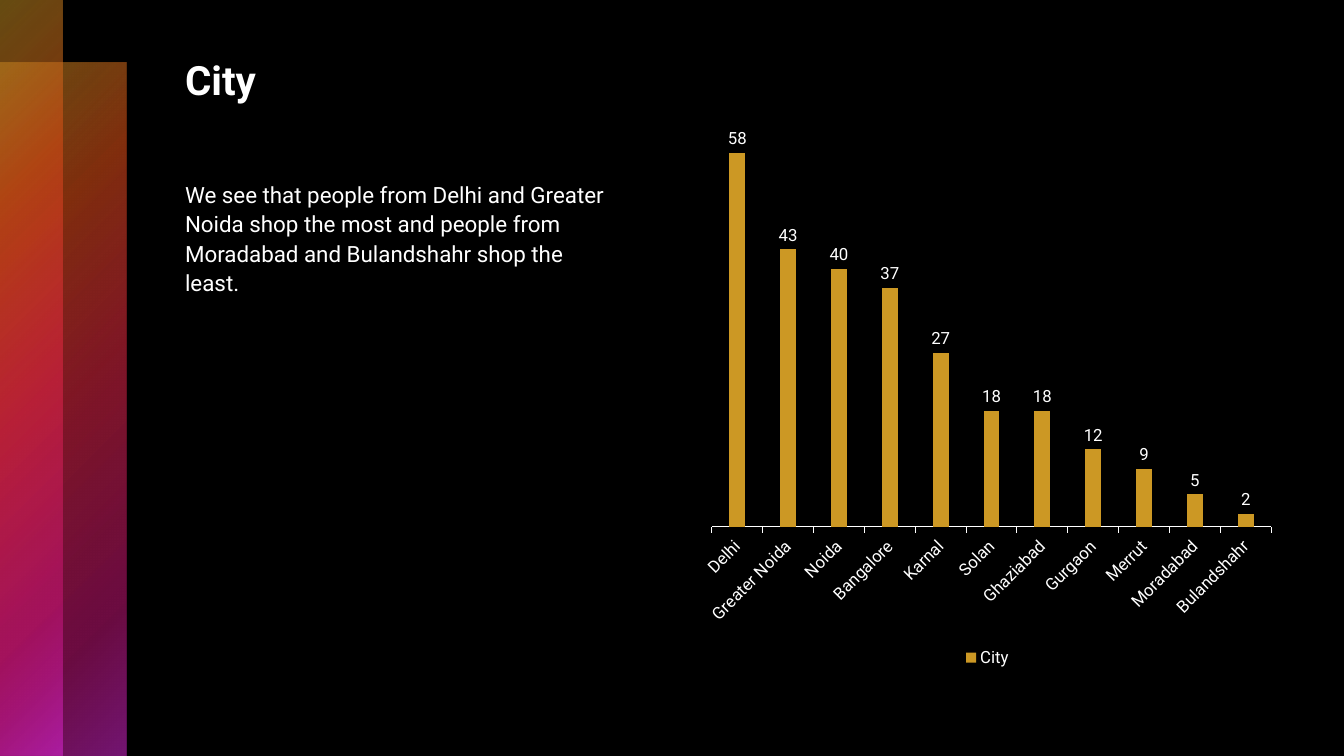
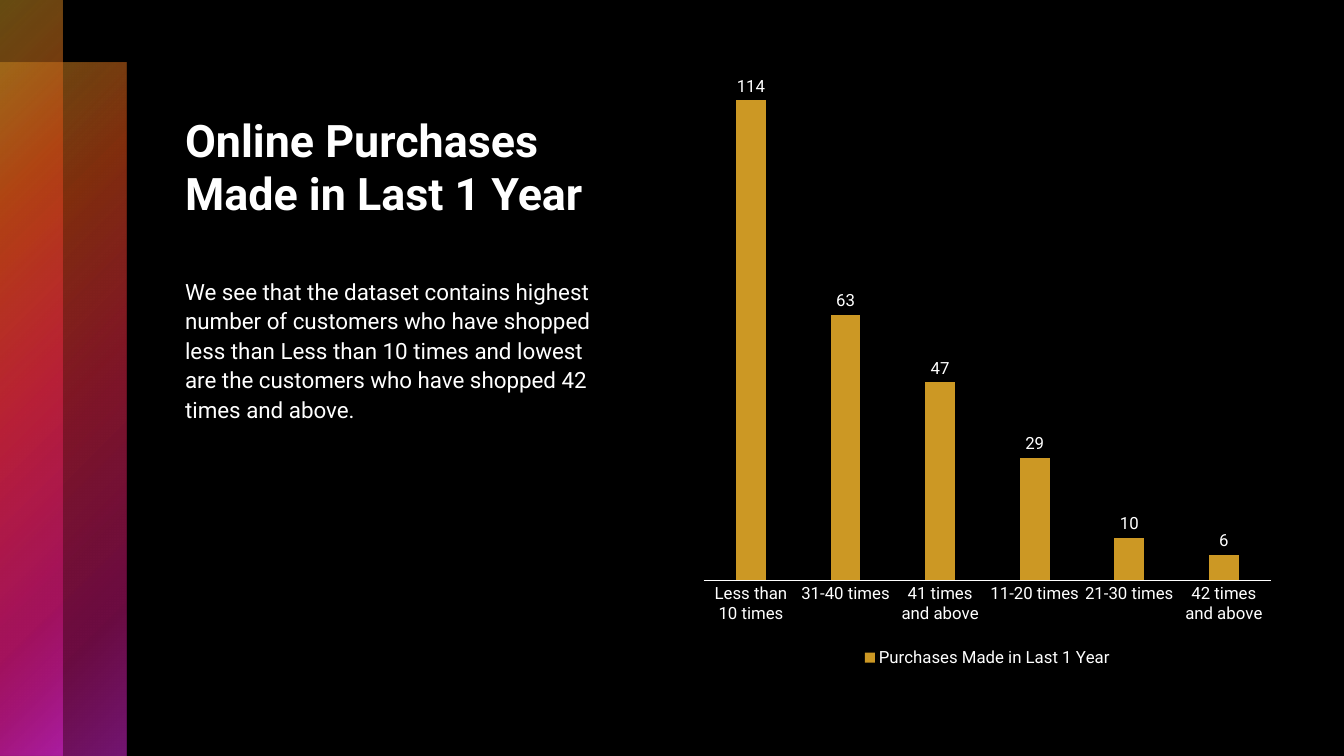
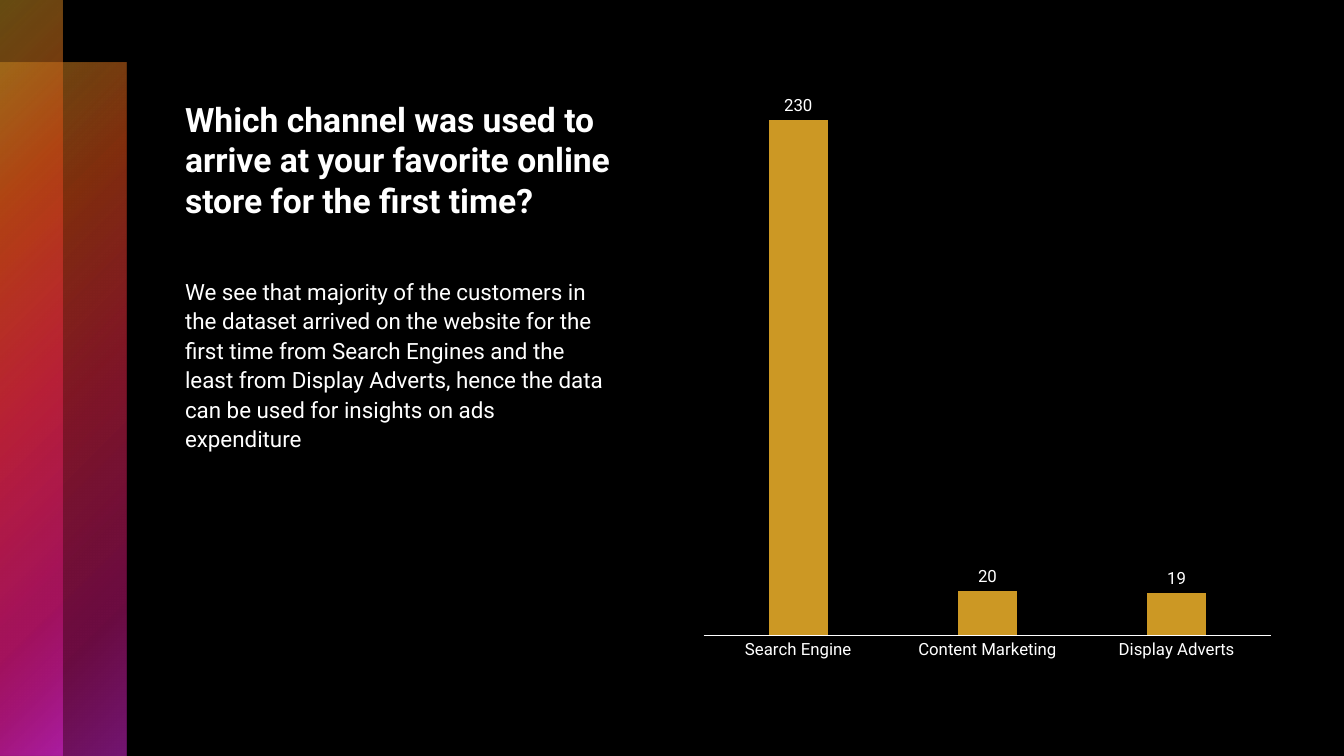
from dataclasses import dataclass

from pptx import Presentation
from pptx.chart.data import CategoryChartData
from pptx.dml.color import RGBColor
from pptx.enum.chart import XL_CHART_TYPE, XL_LABEL_POSITION, XL_LEGEND_POSITION, XL_TICK_MARK
from pptx.enum.shapes import MSO_SHAPE
from pptx.enum.text import MSO_ANCHOR
from pptx.oxml import parse_xml
from pptx.oxml.ns import nsdecls
from pptx.util import Inches, Pt

RECT = MSO_SHAPE.RECTANGLE
TOP, BOTTOM = MSO_ANCHOR.TOP, MSO_ANCHOR.BOTTOM
COLUMN = XL_CHART_TYPE.COLUMN_CLUSTERED
OUT_END = XL_LABEL_POSITION.OUTSIDE_END
BELOW = XL_LEGEND_POSITION.BOTTOM
TICK_OUT, TICK_NONE = XL_TICK_MARK.OUTSIDE, XL_TICK_MARK.NONE


@dataclass(frozen=True)
class Theme:
    font: str = "Roboto"
    back: str = "000000"
    ink: str = "FFFFFF"
    gold: str = "CC9824"
    body: float = 16
    label: float = 12
    # Band gradient: place, colour, opacity, in percent
    glow: tuple = ((0, "CC9824", 50), (25, "D54C17", 60), (50, "E72944", 55),
                   (81, "D51781", 50), (99, "E729E2", 50))


# Square grid: 12 rows fill the slide height
WIDE, HIGH, ROWS = 13.33, 7.5, 12
COLS = WIDE / HIGH * ROWS
LEFT, SPAN = 2.78, 7.07          # text column
HEAD, FOOT = 0.8, 10.27          # top of title, end of body
PLOT = (10.98, 1, 9.38, 9.66)    # chart area


def cell(*sizes):
    """Turn grid units into lengths."""
    return [Inches(size * HIGH / ROWS) for size in sizes]


def style(font, theme, size, bold=False):
    font.name, font.size, font.bold = theme.font, Pt(size), bold
    font.color.rgb = RGBColor.from_string(theme.ink)


def write(frame, text, theme, size, bold=False, space=1.0, anchor=TOP):
    frame.word_wrap = True
    frame.vertical_anchor = anchor
    para = frame.paragraphs[0]
    para.line_spacing = space
    run = para.add_run()
    run.text = text
    style(run.font, theme, size, bold)


class Deck:
    def __init__(self, theme):
        self.theme = theme
        self.show = Presentation()
        self.show.slide_width, self.show.slide_height = Inches(WIDE), Inches(HIGH)
        fill = self.show.slide_master.background.fill
        fill.solid()
        fill.fore_color.rgb = RGBColor.from_string(theme.back)
        self.slide = None

    def start(self):
        self.slide = self.show.slides.add_slide(self.show.slide_layouts[6])
        self.band(0, 1, 2, ROWS - 1)
        self.band(0, 0, 1, ROWS)

    def band(self, *area):
        shape = self.slide.shapes.add_shape(RECT, *cell(*area))
        shape.shadow.inherit = False
        shape.line.fill.background()
        shape.fill.background()
        stops = "".join(
            f'<a:gs pos="{pos * 1000}"><a:srgbClr val="{tone}">'
            f'<a:alpha val="{alpha * 1000}"/></a:srgbClr></a:gs>'
            for pos, tone, alpha in self.theme.glow)
        glow = parse_xml(
            f'<a:gradFill {nsdecls("a")}><a:gsLst>{stops}</a:gsLst>'
            '<a:path path="circle"><a:fillToRect r="100000" b="100000"/></a:path>'
            '</a:gradFill>')
        props = shape.fill._xPr
        props.replace(props.eg_fillProperties, glow)

    def text(self, text, top, end, **form):
        box = self.slide.shapes.add_textbox(*cell(LEFT, top, SPAN, end - top))
        write(box.text_frame, text, self.theme, **form)

    def title(self, text, end, size):
        self.text(text, HEAD, end, size=size, bold=True, anchor=BOTTOM)

    def body(self, text, top):
        self.text(text, top, FOOT, size=self.theme.body, space=1.1)

    def chart(self, name, pairs, legend=True, slant=0, tick=TICK_NONE):
        theme = self.theme
        data = CategoryChartData()
        data.categories = [key for key, _ in pairs]
        data.add_series(name, [val for _, val in pairs])
        chart = self.slide.shapes.add_chart(COLUMN, *cell(*PLOT), data).chart
        style(chart.font, theme, theme.label)
        chart.has_title = False
        chart.has_legend = legend
        if legend:
            chart.legend.position = BELOW
            chart.legend.include_in_layout = False
            style(chart.legend.font, theme, theme.label)

        # Axes
        scale, axis = chart.value_axis, chart.category_axis
        scale.visible = scale.has_major_gridlines = False
        scale.minimum_scale = 0
        axis.major_tick_mark, axis.minor_tick_mark = tick, TICK_NONE
        axis.format.line.width = Pt(0.75)
        axis.format.line.color.rgb = RGBColor.from_string(theme.ink)
        style(axis.tick_labels.font, theme, theme.label)
        axis._element.txPr.bodyPr.set("rot", str(slant * 60000))

        # Columns and their values
        plot = chart.plots[0]
        plot.gap_width, plot.overlap, plot.vary_by_categories = 219, -27, False
        fill = plot.series[0].format.fill
        fill.solid()
        fill.fore_color.rgb = RGBColor.from_string(theme.gold)
        plot.has_data_labels = True
        labels = plot.data_labels
        labels.show_value, labels.position = True, OUT_END
        style(labels.font, theme, theme.label)


def main():
    deck = Deck(Theme())

    # Cities
    deck.start()
    deck.title("City", end=1.73, size=28.8)
    deck.chart("City", [
        ("Delhi", 58), ("Greater Noida", 43), ("Noida", 40), ("Bangalore", 37),
        ("Karnal", 27), ("Solan", 18), ("Ghaziabad", 18), ("Gurgaon", 12),
        ("Merrut", 9), ("Moradabad", 5), ("Bulandshahr", 2),
    ], slant=-45, tick=TICK_OUT)
    deck.body("We see that people from Delhi and Greater Noida shop the most and "
              "people from Moradabad and Bulandshahr shop the least.", top=2.75)

    # Purchases
    deck.start()
    deck.title("Online Purchases Made in Last 1 Year", end=3.57, size=32)
    deck.chart("Purchases Made in Last 1 Year", [
        ("Less than 10 times", 114), ("31-40 times", 63), ("41 times and above", 47),
        ("11-20 times", 29), ("21-30 times", 10), ("42 times and above", 6),
    ])
    deck.body("We see that the dataset contains highest number of customers who have "
              "shopped less than Less than 10 times and lowest are the customers who "
              "have shopped 42 times and above.", top=4.29)

    # Channels
    deck.start()
    deck.title("Which channel was used to arrive at your favorite online store "
               "for the first time?", end=3.57, size=24)
    deck.chart("Series 1", [
        ("Search Engine", 230), ("Content Marketing", 20), ("Display Adverts", 19),
    ], legend=False)
    deck.body("We see that majority of the customers in the dataset arrived on the "
              "website for the first time from Search Engines and the least from "
              "Display Adverts, hence the data can be used for insights on ads "
              "expenditure", top=4.29)

    deck.show.save("out.pptx")


if __name__ == "__main__":
    main()
